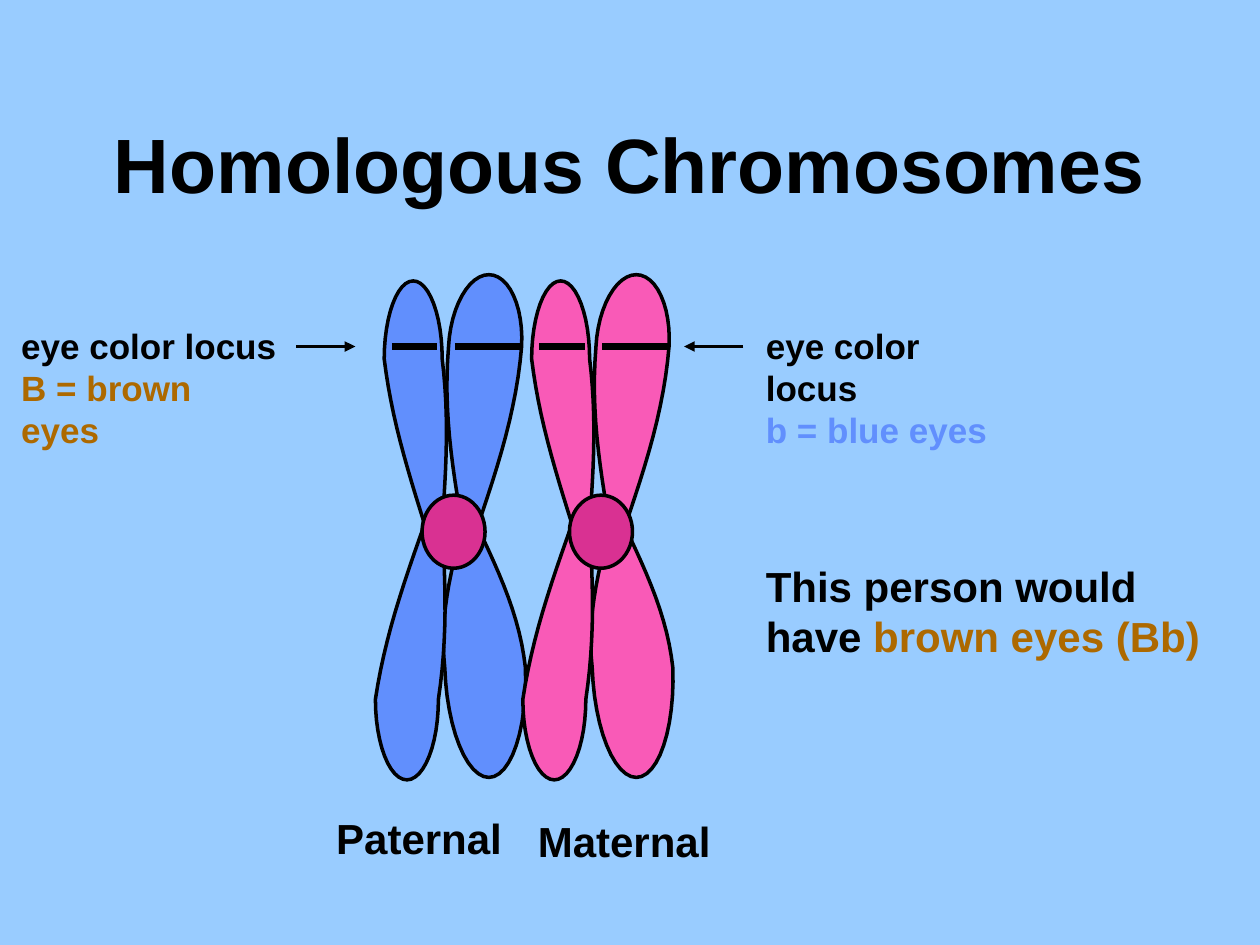
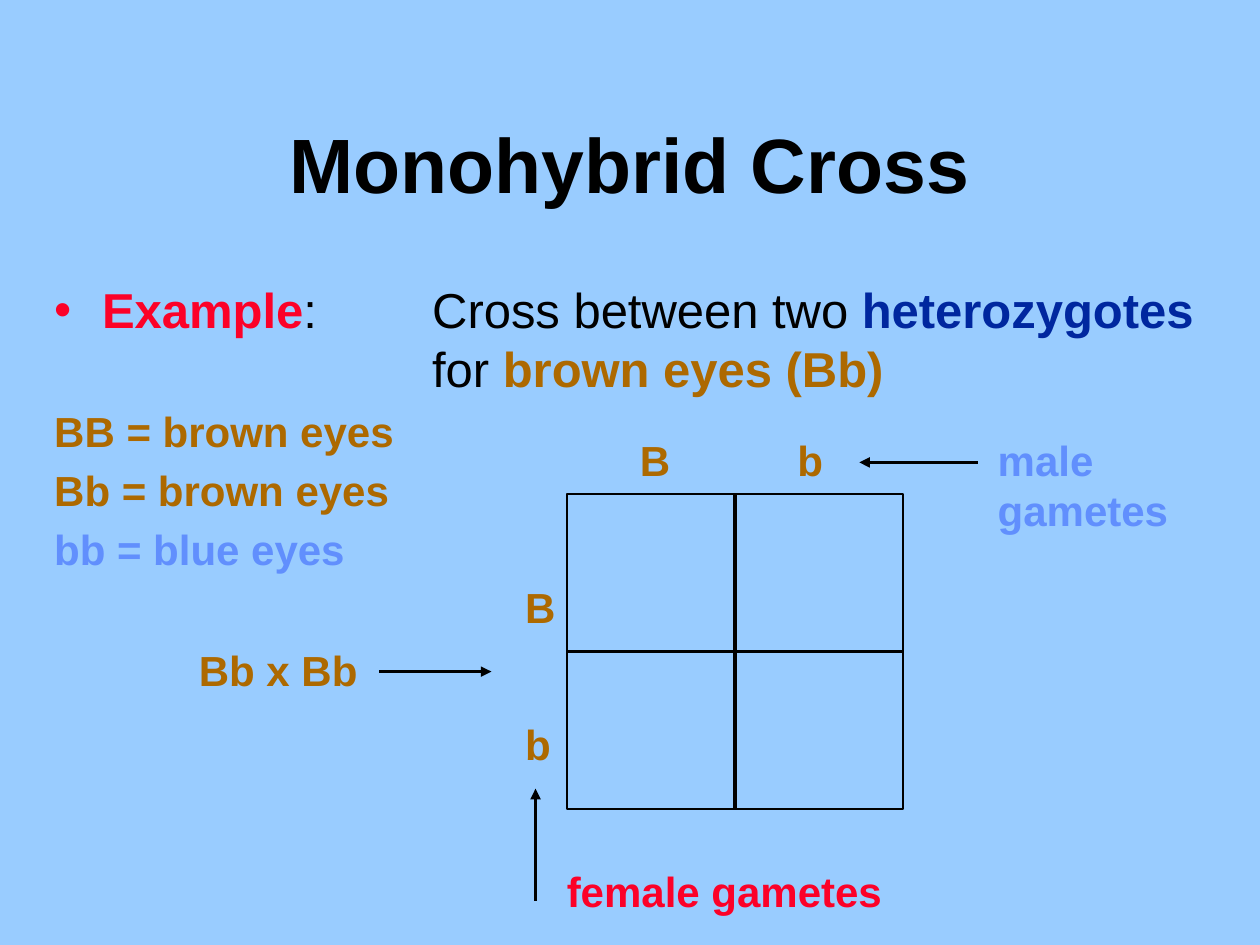
from dataclasses import dataclass
from math import cos, pi, sin
from typing import NamedTuple

from lxml import etree
from pptx import Presentation
from pptx.dml.color import RGBColor
from pptx.enum.shapes import MSO_CONNECTOR, MSO_SHAPE
from pptx.enum.text import MSO_ANCHOR, MSO_AUTO_SIZE, PP_ALIGN
from pptx.oxml.ns import qn
from pptx.util import Inches, Pt

STRAIGHT = MSO_CONNECTOR.STRAIGHT
OVAL, RECTANGLE = MSO_SHAPE.OVAL, MSO_SHAPE.RECTANGLE
MIDDLE, CENTER = MSO_ANCHOR.MIDDLE, PP_ALIGN.CENTER
NO_AUTOFIT = MSO_AUTO_SIZE.NONE

FONT = "Arial"
SKY = RGBColor(0x99, 0xCC, 0xFF)
BLACK = RGBColor(0x00, 0x00, 0x00)
BLUE = RGBColor(0x61, 0x8F, 0xFD)
NAVY = RGBColor(0x00, 0x27, 0x9F)
BROWN = RGBColor(0xAD, 0x69, 0x00)
RED = RGBColor(0xFC, 0x01, 0x28)
PINK = RGBColor(0xF9, 0x5A, 0xB7)
MAGENTA = RGBColor(0xD9, 0x31, 0x92)

TITLE_ONLY, TITLE_AND_BODY = 5, 1


class Point(NamedTuple):
    x: float
    y: float


class Span(NamedTuple):
    text: str
    color: RGBColor = BLACK
    bold: bool = True


@dataclass
class Label:
    left: float
    top: float
    width: float
    lines: list[list[Span]]
    size: int = 24


class Stroke(NamedTuple):
    start: Point
    end: Point
    arrow: bool = False
    weight: float = 2


@dataclass
class Arm:
    """A lobe that widens to its belly and rounds off at its tip."""
    belly: Point
    half_width: float
    tip: Point


@dataclass
class Chromatid:
    waist: Point
    half_width: float
    upper: Arm
    lower: Arm


@dataclass
class Chromosome:
    shift: float
    color: RGBColor


# Chromosomes: the maternal one repeats the paternal one, shifted to the right
CHROMOSOMES = [Chromosome(0, BLUE), Chromosome(1.17, PINK)]
RIGHT_CHROMATID = Chromatid(
    Point(3.73, 4.18), 0.06,
    upper=Arm(Point(3.85, 2.75), 0.29, Point(3.88, 2.18)),
    lower=Arm(Point(3.85, 5.3), 0.32, Point(3.88, 6.17)))
LEFT_CHROMATID = Chromatid(
    Point(3.44, 4.16), 0.07,
    upper=Arm(Point(3.28, 2.85), 0.23, Point(3.28, 2.23)),
    lower=Arm(Point(3.23, 5.55), 0.25, Point(3.23, 6.19)))
CURVE_STEPS = 12
LOCUS_Y = 2.75
LOCUS_BANDS = [(3.11, 3.47), (3.61, 4.14)]
LOCUS_ARROWS = [
    Stroke(Point(2.35, LOCUS_Y), Point(2.82, LOCUS_Y), arrow=True),
    Stroke(Point(5.9, LOCUS_Y), Point(5.43, LOCUS_Y), arrow=True),
]
HOMOLOG_LABELS = [
    Label(0.07, 2.53, 2.24, [[Span("eye color locus")], [Span("B = brown eyes", BROWN)]], 20),
    Label(5.98, 2.53, 2.22, [[Span("eye color locus")], [Span("b = blue eyes", BLUE)]], 20),
    Label(2.57, 6.4, 1.6, [[Span("Paternal")]]),
    Label(4.17, 6.42, 1.6, [[Span("Maternal")]]),
    Label(5.98, 4.4, 3.77, [[Span("This person would have "), Span("brown eyes (Bb)", BROWN)]]),
]

# Punnett square with its alleles, gametes and arrows
SQUARE_LEFT, SQUARE_TOP, SQUARE_WIDTH, SQUARE_HEIGHT = 4.5, 3.92, 2.67, 2.5
SQUARE_RIGHT, SQUARE_BOTTOM = SQUARE_LEFT + SQUARE_WIDTH, SQUARE_TOP + SQUARE_HEIGHT
MID_X, MID_Y = SQUARE_LEFT + SQUARE_WIDTH / 2, SQUARE_TOP + SQUARE_HEIGHT / 2
ALLELES = "Bb"
MALE_ALLELE_LEFTS, MALE_ALLELE_TOP = (4.98, 6.23), 3.4
FEMALE_ALLELE_LEFT, FEMALE_ALLELE_TOPS = 4.07, (4.57, 5.65)
GAMETE_LABELS = [
    Label(1.48, 5.07, 1.6, [[Span("Bb x Bb", BROWN)]]),
    Label(7.82, MALE_ALLELE_TOP, 1.85, [[Span("male", BLUE)], [Span("gametes", BLUE)]]),
    Label(4.4, 6.82, 3.26, [[Span("female gametes", RED)]]),
]
GAMETE_ARROWS = [
    Stroke(Point(3.01, 5.33), Point(3.9, 5.33), arrow=True),
    Stroke(Point(7.76, 3.67), Point(6.82, 3.67), arrow=True),
    Stroke(Point(4.25, 7.15), Point(4.25, 6.26), arrow=True),
]
SQUARE_DIVIDERS = [
    Stroke(Point(MID_X, SQUARE_TOP), Point(MID_X, SQUARE_BOTTOM)),
    Stroke(Point(SQUARE_LEFT, MID_Y), Point(SQUARE_RIGHT, MID_Y)),
]
GENOTYPES = [("BB = brown eyes", BROWN), ("Bb = brown eyes", BROWN), ("bb = blue eyes", BLUE)]


# Shared drawing functions
def place(shape, left: float, top: float, width: float, height: float) -> None:
    shape.left, shape.top = Inches(left), Inches(top)
    shape.width, shape.height = Inches(width), Inches(height)


def add_span(paragraph, span: Span, size: int) -> None:
    run = paragraph.add_run()
    run.text = span.text
    run.font.name, run.font.size = FONT, Pt(size)
    run.font.bold, run.font.color.rgb = span.bold, span.color


def add_titled_slide(prs, layout: int, title: str):
    slide = prs.slides.add_slide(prs.slide_layouts[layout])
    heading = slide.shapes.title
    place(heading, 0.75, 0.67, 8.5, 1.25)
    heading.text_frame.vertical_anchor = MIDDLE
    paragraph = heading.text_frame.paragraphs[0]
    paragraph.alignment = CENTER
    add_span(paragraph, Span(title), 44)
    return slide


def add_label(slide, label: Label) -> None:
    height = 0.5 if len(label.lines) == 1 else 0.9
    box = slide.shapes.add_textbox(
        Inches(label.left), Inches(label.top), Inches(label.width), Inches(height))
    frame = box.text_frame
    frame.word_wrap = True
    for index, line in enumerate(label.lines):
        paragraph = frame.add_paragraph() if index else frame.paragraphs[0]
        for span in line:
            add_span(paragraph, span, label.size)


def add_stroke(slide, stroke: Stroke) -> None:
    connector = slide.shapes.add_connector(
        STRAIGHT, *(Inches(value) for value in stroke.start + stroke.end))
    connector.line.color.rgb = BLACK
    connector.line.width = Pt(stroke.weight)
    if stroke.arrow:
        etree.SubElement(connector.line._get_or_add_ln(), qn("a:tailEnd"), type="triangle")
    etree.SubElement(connector._element.spPr, qn("a:effectLst"))


def outline(shape, fill: RGBColor | None, weight: float = 2) -> None:
    shape.shadow.inherit = False
    if fill is None:
        shape.fill.background()
    else:
        shape.fill.solid()
        shape.fill.fore_color.rgb = fill
    shape.line.color.rgb = BLACK
    shape.line.width = Pt(weight)


# Chromosome geometry
def between(start: Point, end: Point, share: float) -> Point:
    return Point(start.x + (end.x - start.x) * share, start.y + (end.y - start.y) * share)


def arm_edges(chromatid: Chromatid, arm: Arm) -> tuple[list[Point], list[Point]]:
    """Left and right edge of an arm, both from waist to tip."""
    shares = [step / CURVE_STEPS for step in range(CURVE_STEPS + 1)]
    growth = arm.half_width - chromatid.half_width
    neck = [(between(chromatid.waist, arm.belly, share),
             chromatid.half_width + growth * sin(pi / 2 * share)) for share in shares]
    cap = [(between(arm.belly, arm.tip, sin(pi / 2 * share)),
            arm.half_width * cos(pi / 2 * share)) for share in shares[1:]]
    sections = neck + cap
    left = [Point(middle.x - half, middle.y) for middle, half in sections]
    right = [Point(middle.x + half, middle.y) for middle, half in sections]
    return left, right


def add_chromatid(slide, chromatid: Chromatid, chromosome: Chromosome) -> None:
    upper_left, upper_right = arm_edges(chromatid, chromatid.upper)
    lower_left, lower_right = arm_edges(chromatid, chromatid.lower)
    loop = upper_right + upper_left[::-1] + lower_left + lower_right[::-1]
    points = [(Inches(x + chromosome.shift), Inches(y)) for x, y in loop]
    builder = slide.shapes.build_freeform(*points[0])
    builder.add_line_segments(points[1:], close=True)
    outline(builder.convert_to_shape(), chromosome.color)


def add_chromosome(slide, chromosome: Chromosome) -> None:
    for chromatid in (RIGHT_CHROMATID, LEFT_CHROMATID):
        add_chromatid(slide, chromatid, chromosome)
    centromere = slide.shapes.add_shape(
        OVAL, Inches(3.35 + chromosome.shift), Inches(3.93), Inches(0.5), Inches(0.58))
    outline(centromere, MAGENTA)


# Example text of the cross
def set_hanging_indent(paragraph, bullet_color: RGBColor | None = None) -> None:
    properties = paragraph._p.get_or_add_pPr()
    properties.set("marL", str(Inches(0.38)))
    properties.set("indent", str(-Inches(0.38)))
    properties.set("defTabSz", str(Inches(1)))
    if bullet_color is None:
        etree.SubElement(properties, qn("a:buNone"))
        return
    color = etree.SubElement(properties, qn("a:buClr"))
    etree.SubElement(color, qn("a:srgbClr"), val=str(bullet_color))
    etree.SubElement(properties, qn("a:buFont"), typeface=FONT)
    etree.SubElement(properties, qn("a:buChar"), char="•")


def fill_example(body) -> None:
    place(body, 0.33, 2.17, 9.33, 4.5)
    frame = body.text_frame
    frame.auto_size = NO_AUTOFIT
    example = frame.paragraphs[0]
    set_hanging_indent(example, RED)
    for span in (Span("Example", RED), Span(":\tCross between two ", bold=False),
                 Span("heterozygotes", NAVY)):
        add_span(example, span, 28)
    example.add_line_break()
    for span in (Span("\t\t\tfor ", bold=False), Span("brown eyes (Bb)", BROWN)):
        add_span(example, span, 28)
    for genotype, color in GENOTYPES:
        paragraph = frame.add_paragraph()
        set_hanging_indent(paragraph)
        add_span(paragraph, Span(genotype, color), 24)


# Slides
def build_homologous_slide(prs) -> None:
    slide = add_titled_slide(prs, TITLE_ONLY, "Homologous Chromosomes")
    for chromosome in CHROMOSOMES:
        add_chromosome(slide, chromosome)
    for chromosome in CHROMOSOMES:
        for left, right in LOCUS_BANDS:
            add_stroke(slide, Stroke(Point(left + chromosome.shift, LOCUS_Y),
                                     Point(right + chromosome.shift, LOCUS_Y), weight=4))
    for arrow in LOCUS_ARROWS:
        add_stroke(slide, arrow)
    for label in HOMOLOG_LABELS:
        add_label(slide, label)


def build_cross_slide(prs) -> None:
    slide = add_titled_slide(prs, TITLE_AND_BODY, "Monohybrid Cross")
    fill_example(slide.placeholders[1])
    for allele, left, top in zip(ALLELES, MALE_ALLELE_LEFTS, FEMALE_ALLELE_TOPS):
        add_label(slide, Label(left, MALE_ALLELE_TOP, 0.5, [[Span(allele, BROWN)]]))
        add_label(slide, Label(FEMALE_ALLELE_LEFT, top, 0.5, [[Span(allele, BROWN)]]))
    for label in GAMETE_LABELS:
        add_label(slide, label)
    for stroke in GAMETE_ARROWS + SQUARE_DIVIDERS:
        add_stroke(slide, stroke)
    punnett_square = slide.shapes.add_shape(
        RECTANGLE, Inches(SQUARE_LEFT), Inches(SQUARE_TOP),
        Inches(SQUARE_WIDTH), Inches(SQUARE_HEIGHT))
    outline(punnett_square, None, 1)


def main() -> None:
    prs = Presentation()
    prs.slide_width, prs.slide_height = Inches(10), Inches(7.5)
    background = prs.slide_master.background.fill
    background.solid()
    background.fore_color.rgb = SKY
    build_homologous_slide(prs)
    build_cross_slide(prs)
    prs.save("out.pptx")


if __name__ == "__main__":
    main()
